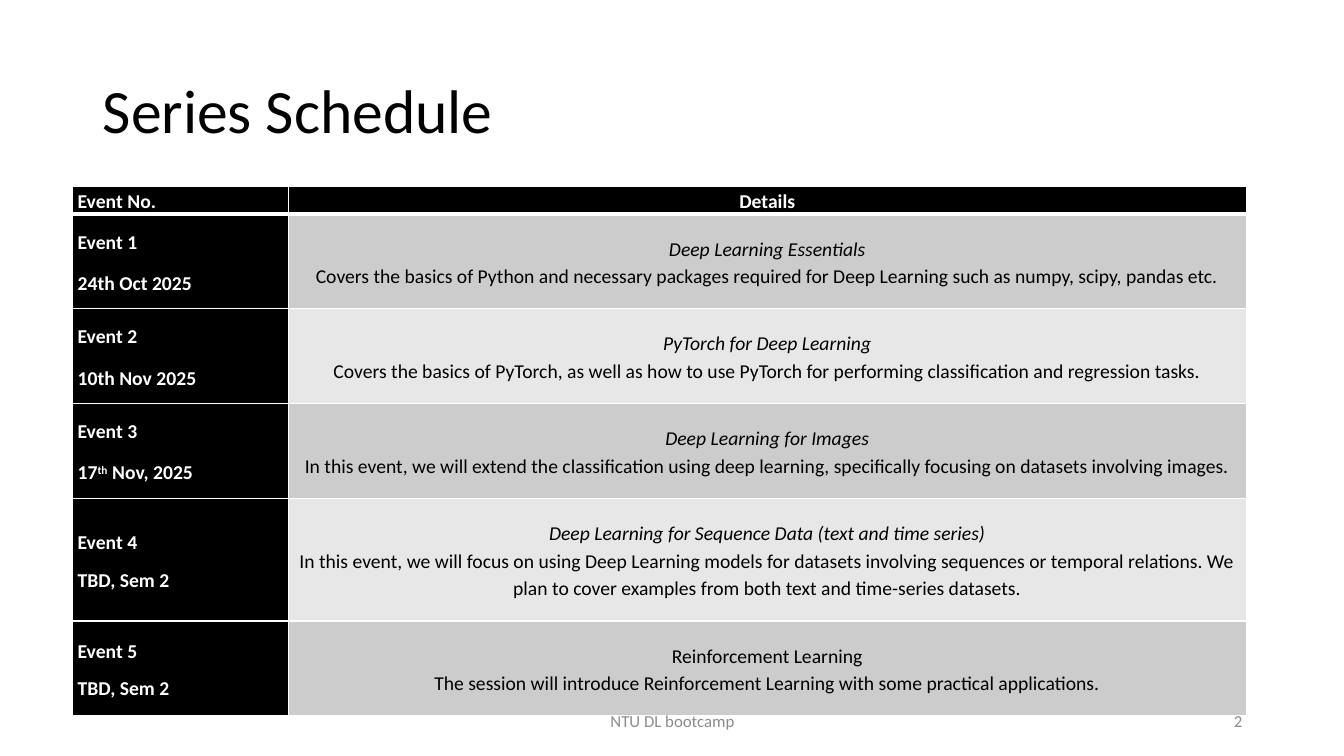
from lxml.etree import SubElement
from pptx import Presentation
from pptx.dml.color import RGBColor
from pptx.enum.text import MSO_ANCHOR, MSO_AUTO_SIZE, PP_ALIGN
from pptx.oxml.ns import qn
from pptx.util import Inches, Pt

TITLE = "Series Schedule"
FOOTER = "NTU DL bootcamp"
SLIDE_NUMBER = "2"
HEADINGS = ("Event No.", "Details")
# Event, date as (text, superscript) parts, topic, topic in italics, summary
EVENTS = [
    ("Event 1", [("24th Oct 2025", False)], "Deep Learning Essentials", True,
     "Covers the basics of Python and necessary packages required for Deep Learning "
     "such as numpy, scipy, pandas etc."),
    ("Event 2", [("10th Nov 2025", False)], "PyTorch for Deep Learning", True,
     "Covers the basics of PyTorch, as well as how to use PyTorch for performing "
     "classification and regression tasks."),
    ("Event 3", [("17", False), ("th", True), (" Nov, 2025", False)],
     "Deep Learning for Images", True,
     "In this event, we will extend the classification using deep learning, "
     "specifically focusing on datasets involving images."),
    ("Event 4", [("TBD, Sem 2", False)],
     "Deep Learning for Sequence Data (text and time series)", True,
     "In this event, we will focus on using Deep Learning models for datasets involving "
     "sequences or temporal relations. We plan to cover examples from both text and "
     "time-series datasets."),
    ("Event 5", [("TBD, Sem 2", False)], "Reinforcement Learning", False,
     "The session will introduce Reinforcement Learning with some practical applications."),
]
COLORS = {"black": "000000", "white": "FFFFFF", "gray": "8C8C8C",
          "dark band": "CCCCCC", "light band": "E7E7E7"}
FONT = "Calibri"
COLUMN_WIDTHS = (2.14, 9.5)
ROW_HEIGHTS = (0.26, 0.94, 0.94, 0.94, 1.22, 0.94)


def add_text(paragraph, text, size=14, color="black", bold=False, italic=False,
             superscript=False):
    run = paragraph.add_run()
    run.text = text
    run.font.name, run.font.size = FONT, Pt(size)
    run.font.bold, run.font.italic = bold, italic
    run.font.color.rgb = RGBColor.from_string(COLORS[color])
    if superscript:
        run.font._element.set("baseline", "30000")


def format_paragraph(paragraph, align, spaced=True):
    paragraph.alignment = align
    if spaced:
        paragraph.line_spacing = 1.15
        paragraph.space_after = Pt(10)
    return paragraph


def format_cell(cell, fill, top=1, bottom=1):
    """Set margins, white borders (widths in points) and fill."""
    cell.vertical_anchor = MSO_ANCHOR.MIDDLE
    cell.margin_left = cell.margin_right = Inches(0.05)
    cell.margin_top = cell.margin_bottom = 0
    properties = cell._tc.get_or_add_tcPr()
    for side, width in (("L", 1), ("R", 1), ("T", top), ("B", bottom)):
        border = SubElement(properties, qn(f"a:ln{side}"), w=str(Pt(width)))
        border_fill = SubElement(border, qn("a:solidFill"))
        SubElement(border_fill, qn("a:srgbClr"), val=COLORS["white"])
    cell.fill.solid()
    cell.fill.fore_color.rgb = RGBColor.from_string(COLORS[fill])


def add_footer(slide, text, left, width, align):
    footer = slide.shapes.add_textbox(Inches(left), Inches(6.95), Inches(width), Inches(0.4))
    frame = footer.text_frame
    frame.word_wrap = True
    frame.vertical_anchor = MSO_ANCHOR.MIDDLE
    frame.paragraphs[0].alignment = align
    add_text(frame.paragraphs[0], text, size=12, color="gray")


def add_title(slide):
    title = slide.shapes.title
    title.left, title.top = Inches(0.92), Inches(0.4)
    title.width, title.height = Inches(11.5), Inches(1.45)
    frame = title.text_frame
    frame.auto_size = MSO_AUTO_SIZE.NONE
    frame.vertical_anchor = MSO_ANCHOR.MIDDLE
    heading = frame.paragraphs[0]
    heading.alignment = PP_ALIGN.LEFT
    heading.line_spacing = 0.9
    add_text(heading, TITLE, size=44)


def add_schedule(slide):
    schedule = slide.shapes.add_table(
        len(ROW_HEIGHTS), len(COLUMN_WIDTHS), Inches(0.72), Inches(1.85),
        Inches(sum(COLUMN_WIDTHS)), Inches(sum(ROW_HEIGHTS))).table
    for column, width in zip(schedule.columns, COLUMN_WIDTHS):
        column.width = Inches(width)
    for row, height in zip(schedule.rows, ROW_HEIGHTS):
        row.height = Inches(height)

    aligns = (PP_ALIGN.JUSTIFY, PP_ALIGN.CENTER)
    for column, (heading, align) in enumerate(zip(HEADINGS, aligns)):
        cell = schedule.cell(0, column)
        format_cell(cell, "black", bottom=3)
        add_text(format_paragraph(cell.text_frame.paragraphs[0], align), heading,
                 color="white", bold=True)

    for row, (event, date, topic, italic, summary) in enumerate(EVENTS, start=1):
        top = 3 if row == 1 else 1
        event_cell, details_cell = schedule.cell(row, 0), schedule.cell(row, 1)
        format_cell(event_cell, "black", top=top)
        format_cell(details_cell, "dark band" if row % 2 else "light band", top=top)

        name_line = format_paragraph(event_cell.text_frame.paragraphs[0], PP_ALIGN.JUSTIFY)
        add_text(name_line, event, color="white", bold=True)
        undated = date[0][0].startswith("TBD")
        date_line = format_paragraph(event_cell.text_frame.add_paragraph(),
                                     PP_ALIGN.JUSTIFY, spaced=not undated)
        for part, superscript in date:
            add_text(date_line, part, color="white", bold=True, superscript=superscript)

        details = format_paragraph(details_cell.text_frame.paragraphs[0], PP_ALIGN.CENTER)
        add_text(details, topic, italic=italic)
        details.add_line_break()
        add_text(details, summary)


def main():
    deck = Presentation()
    deck.slide_width, deck.slide_height = Inches(13.33), Inches(7.5)
    slide = deck.slides.add_slide(deck.slide_layouts[5])
    add_title(slide)
    add_schedule(slide)
    add_footer(slide, FOOTER, 4.42, 4.5, PP_ALIGN.CENTER)
    add_footer(slide, SLIDE_NUMBER, 9.42, 3, PP_ALIGN.RIGHT)
    deck.save("out.pptx")


if __name__ == "__main__":
    main()
